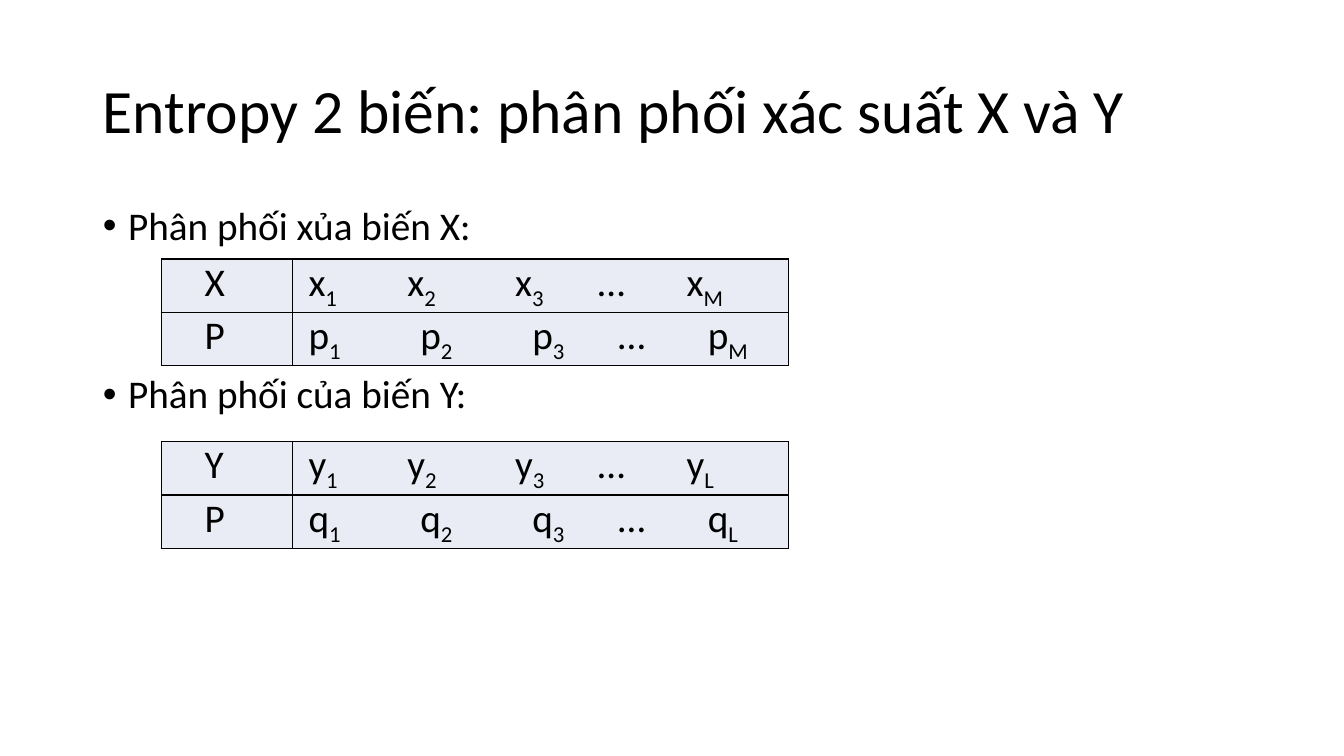
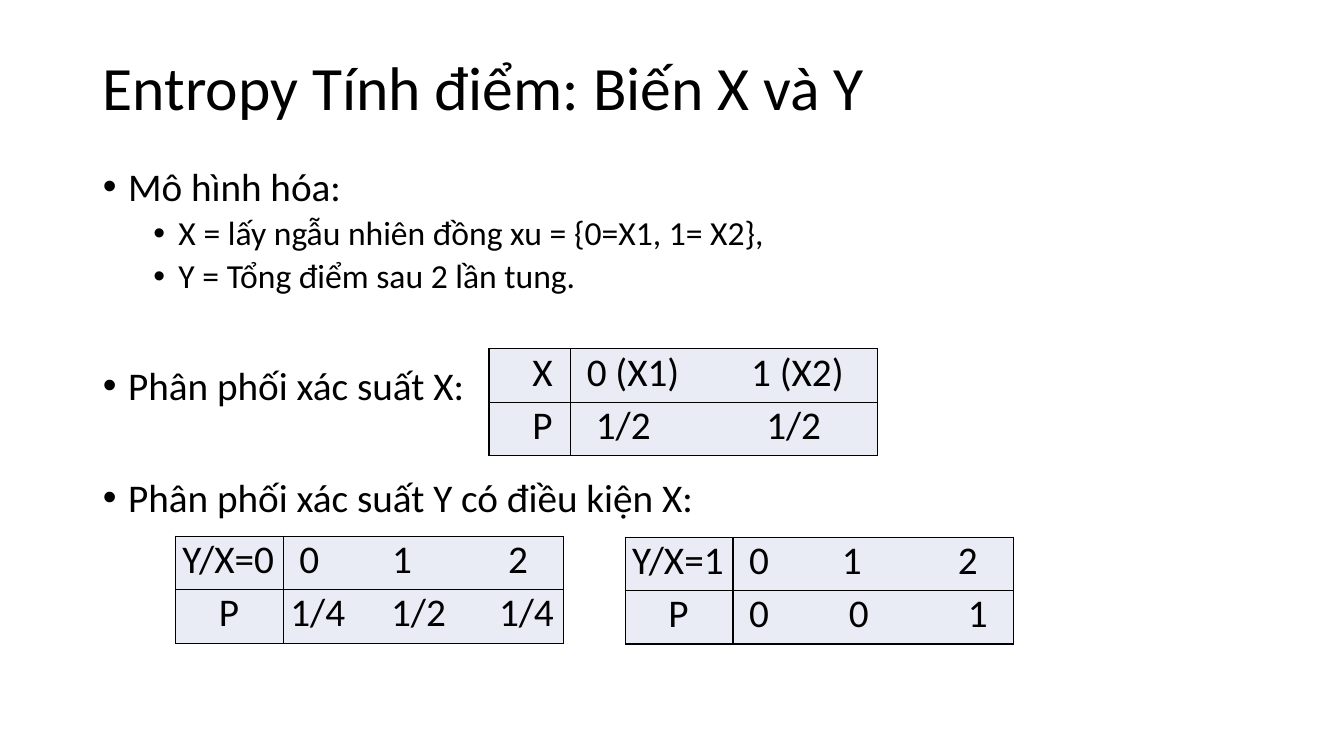
from lxml import etree
from pptx import Presentation
from pptx.dml.color import RGBColor
from pptx.enum.text import MSO_ANCHOR as Anchor, MSO_AUTO_SIZE as AutoSize, PP_ALIGN as Align
from pptx.oxml.ns import qn
from pptx.util import Emu, Inches, Pt

FONT = "Calibri"
INK = "000000"
CELL_FILL = "E9EBF5"
MARGIN, CONTENT_WIDTH = 0.92, 11.5
ROW_HEIGHT, CELL_INSET = 0.53, 0.07
LABEL_START = 0.36
BODY_SIZES = (28, 24)
BODY_GAPS = (10, 5)
BODY_INDENTS = (0.25, 0.75)
HANGING = 0.25


def rgb(hex_colour):
    return RGBColor.from_string(hex_colour)


def add_child(parent, tag, **attributes):
    return etree.SubElement(parent, qn(tag), {k: str(v) for k, v in attributes.items()})


def style_paragraph(paragraph, size):
    font = paragraph.font
    font.name, font.size, font.color.rgb = FONT, Pt(size), rgb(INK)
    paragraph.alignment = Align.LEFT


def place(shape, top, height):
    shape.left, shape.width = Inches(MARGIN), Inches(CONTENT_WIDTH)
    shape.top, shape.height = Inches(top), Inches(height)
    shape.text_frame.auto_size = AutoSize.NONE


def set_title(slide, text, height):
    title = slide.shapes.title
    place(title, 0.4, height)
    title.text_frame.text = text
    title.text_frame.vertical_anchor = Anchor.MIDDLE
    heading = title.text_frame.paragraphs[0]
    heading.line_spacing = 0.9
    style_paragraph(heading, 44)


def set_bullets(slide, top, bullets):
    """Fill the body from (text, level, extra space before in points)."""
    body = slide.placeholders[1]
    place(body, top, 4.76)
    frame = body.text_frame
    frame.text = "\n".join(text for text, _, _ in bullets)
    for paragraph, (_, level, extra) in zip(frame.paragraphs, bullets):
        paragraph.level = level
        paragraph.line_spacing = 0.9
        paragraph.space_before = Pt(BODY_GAPS[level] + extra)
        style_paragraph(paragraph, BODY_SIZES[level])
        properties = paragraph._p.get_or_add_pPr()
        properties.set("marL", str(Inches(BODY_INDENTS[level])))
        properties.set("indent", str(-Inches(HANGING)))
        bullet_font = etree.Element(qn("a:buFont"), typeface="Arial")
        bullet = etree.Element(qn("a:buChar"), char="•")
        default_run = properties.find(qn("a:defRPr"))
        default_run.addprevious(bullet_font)
        default_run.addprevious(bullet)


def add_borders(cell):
    properties = cell._tc.get_or_add_tcPr()
    for position, side in enumerate(("a:lnL", "a:lnR", "a:lnT", "a:lnB")):
        line = etree.Element(qn(side), w=str(Pt(1)))
        add_child(add_child(line, "a:solidFill"), "a:srgbClr", val=INK)
        properties.insert(position, line)


def add_tab_stops(paragraph, stops):
    tabs = etree.Element(qn("a:tabLst"))
    for stop in stops:
        add_child(tabs, "a:tab", pos=Inches(stop), algn="l")
    paragraph._p.get_or_add_pPr().find(qn("a:defRPr")).addprevious(tabs)


def fill_cell(cell, terms, starts):
    """Write terms at the given distances; an underscore begins a subscript."""
    cell.margin_left = Inches(CELL_INSET + starts[0])
    cell.margin_right = Inches(0 if starts[0] else CELL_INSET)
    cell.margin_top = cell.margin_bottom = Emu(0)
    cell.fill.solid()
    cell.fill.fore_color.rgb = rgb(CELL_FILL)
    add_borders(cell)
    paragraph = cell.text_frame.paragraphs[0]
    style_paragraph(paragraph, 28)
    if len(starts) > 1:
        add_tab_stops(paragraph, [start - starts[0] for start in starts[1:]])
    for index, term in enumerate(terms):
        base, _, subscript = term.partition("_")
        paragraph.add_run().text = ("\t" if index else "") + base
        if subscript:
            run = paragraph.add_run()
            run.text = subscript
            run._r.get_or_add_rPr().set("baseline", "-25000")


def add_distribution(slide, left, top, widths, rows):
    """Add a table of rows given as (label, label start, values, value starts)."""
    table = slide.shapes.add_table(
        len(rows), 2, Inches(left), Inches(top),
        Inches(sum(widths)), Inches(ROW_HEIGHT * len(rows))).table
    table.first_row = table.horz_banding = False
    for column, width in zip(table.columns, widths):
        column.width = Inches(width)
    for index, (label, label_start, values, starts) in enumerate(rows):
        table.rows[index].height = Inches(ROW_HEIGHT)
        fill_cell(table.cell(index, 0), [label], [label_start])
        fill_cell(table.cell(index, 1), values, starts)


def indexed(letter, last):
    return [f"{letter}_1", f"{letter}_2", f"{letter}_3", "…", f"{letter}_{last}"]


def add_slide(deck, title, title_height):
    slide = deck.slides.add_slide(deck.slide_layouts[1])
    set_title(slide, title, title_height)
    return slide


def build_two_variables(deck):
    slide = add_slide(deck, "Entropy 2 biến: phân phối xác suất X và Y", 1.45)
    set_bullets(slide, 2, [("Phân phối xủa biến X:", 0, 0),
                           ("Phân phối của biến Y:", 0, 80)])
    value_starts = (0.09, 1.07, 2.14, 2.96, 3.84)
    chance_starts = (0.09, 1.2, 2.31, 3.16, 4.05)
    for top, variable, chance, last in ((2.57, "X", "p", "M"), (4.38, "Y", "q", "L")):
        add_distribution(slide, 1.6, top, (1.3, 4.92), [
            (variable, LABEL_START, indexed(variable.lower(), last), value_starts),
            ("P", LABEL_START, indexed(chance, last), chance_starts)])


def build_score(deck):
    slide = add_slide(deck, "Entropy Tính điểm: Biến X và Y", 0.99)
    set_bullets(slide, 1.61, [
        ("Mô hình hóa:", 0, 0),
        ("X = lấy ngẫu nhiên đồng xu = {0=X1, 1= X2},", 1, 0),
        ("Y = Tổng điểm sau 2 lần tung.", 1, 0),
        ("Phân phối xác suất X:", 0, 40),
        ("Phân phối xác suất Y có điều kiện X:", 0, 40)])
    add_distribution(slide, 4.85, 3.46, (0.81, 3.04), [
        ("X", LABEL_START, ("0 (X1)", "1 (X2)"), (0.09, 1.72)),
        ("P", LABEL_START, ("1/2", "1/2"), (0.18, 1.87))])
    conditionals = (
        (1.74, 5.32, "Y/X=0", ("1/4", "1/2", "1/4"), (0, 1, 2.07)),
        (6.2, 5.33, "Y/X=1", ("0", "0", "1"), (0.09, 1.08, 2.26)))
    for left, top, condition, chances, starts in conditionals:
        add_distribution(slide, left, top, (1.07, 2.78), [
            (condition, 0, ("0", "1", "2"), (0.09, 1.01, 2.16)),
            ("P", LABEL_START, chances, starts)])


def main():
    deck = Presentation()
    deck.slide_width, deck.slide_height = Inches(13.33), Inches(7.5)
    build_two_variables(deck)
    build_score(deck)
    deck.save("out.pptx")


if __name__ == "__main__":
    main()
